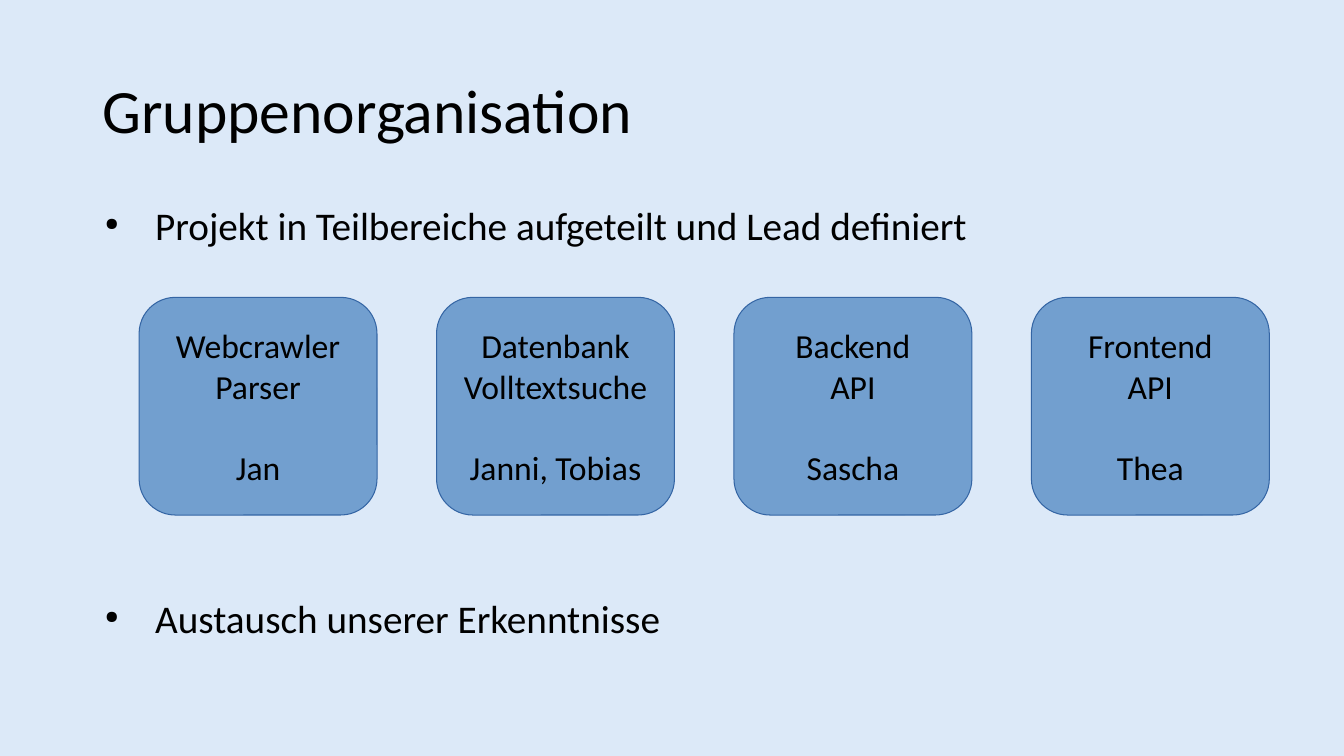
from lxml import etree
from pptx import Presentation
from pptx.dml.color import RGBColor
from pptx.enum.shapes import MSO_SHAPE
from pptx.enum.text import MSO_ANCHOR, PP_ALIGN
from pptx.oxml.ns import qn
from pptx.util import Inches, Pt

COLORS = {"background": "DCE9F8", "box": "729FCF", "outline": "3465A4", "text": "000000"}
BULLETS = ["Projekt in Teilbereiche aufgeteilt und Lead definiert",
           "Austausch unserer Erkenntnisse"]
TEAMS = [
    ("Webcrawler", "Parser", "Jan"),
    ("Datenbank", "Volltextsuche", "Janni, Tobias"),
    ("Backend", "API", "Sascha"),
    ("Frontend", "API", "Thea"),
]
BOX_LEFT, BOX_PITCH = 1.38, 2.95


def write_lines(frame, lines, size):
    """Fill a text frame with one paragraph per line and return the paragraphs."""
    frame.text = "\n".join(lines)
    for paragraph in frame.paragraphs:
        paragraph.font.name = "Calibri"
        paragraph.font.size = Pt(size)
        paragraph.font.color.rgb = RGBColor.from_string(COLORS["text"])
    return frame.paragraphs


def add_bullet(paragraph):
    properties = paragraph._p.get_or_add_pPr()
    properties.set("marL", str(Inches(0.62)))
    properties.set("indent", str(Inches(-0.5)))
    color = etree.SubElement(properties, qn("a:buClr"))
    etree.SubElement(color, qn("a:srgbClr"), val=COLORS["text"])
    etree.SubElement(properties, qn("a:buSzPct"), val="45000")
    etree.SubElement(properties, qn("a:buChar"), char="●")


presentation = Presentation()
presentation.slide_width = Inches(13.33)
presentation.slide_height = Inches(7.5)
slide = presentation.slides.add_slide(presentation.slide_layouts[6])
slide.background.fill.solid()
slide.background.fill.fore_color.rgb = RGBColor.from_string(COLORS["background"])

# Title
title = slide.shapes.add_textbox(Inches(0.92), Inches(0.4), Inches(11.5), Inches(1.45)).text_frame
title.word_wrap = True
title.vertical_anchor = MSO_ANCHOR.MIDDLE
write_lines(title, ["Gruppenorganisation"], 44)[0].line_spacing = 0.9

# Bullet list, with room for the team boxes between its two points
body = slide.shapes.add_textbox(Inches(0.92), Inches(2), Inches(11.5), Inches(4.75)).text_frame
body.word_wrap = True
body.margin_left = body.margin_right = body.margin_top = body.margin_bottom = 0
bullets = write_lines(body, BULLETS, 28)
bullets[1].space_before = Pt(247)
for paragraph in bullets:
    add_bullet(paragraph)

# Team boxes
for index, team in enumerate(TEAMS):
    box = slide.shapes.add_shape(MSO_SHAPE.ROUNDED_RECTANGLE,
                                 Inches(BOX_LEFT + index * BOX_PITCH), Inches(2.95),
                                 Inches(2.36), Inches(2.16))
    box.shadow.inherit = False
    box.fill.solid()
    box.fill.fore_color.rgb = RGBColor.from_string(COLORS["box"])
    box.line.color.rgb = RGBColor.from_string(COLORS["outline"])
    box.line.width = Pt(0)
    box.text_frame.word_wrap = False
    box.text_frame.vertical_anchor = MSO_ANCHOR.MIDDLE
    lines = write_lines(box.text_frame, team, 24)
    for paragraph in lines:
        paragraph.alignment = PP_ALIGN.CENTER
    lines[-1].space_before = Pt(29)

presentation.save("out.pptx")
